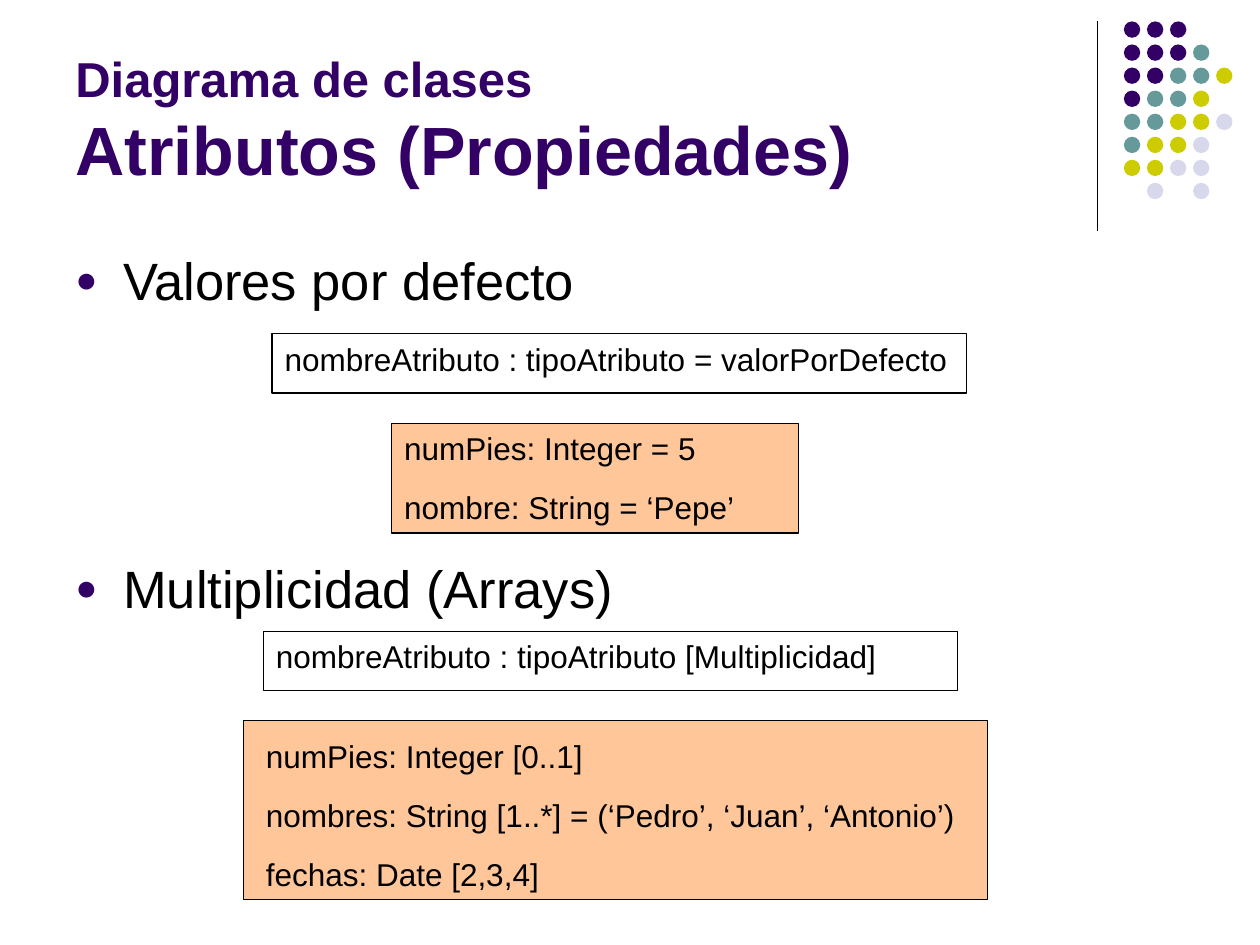
from typing import NamedTuple

from lxml.etree import SubElement
from pptx import Presentation
from pptx.dml.color import RGBColor
from pptx.enum.shapes import MSO_CONNECTOR, MSO_SHAPE
from pptx.enum.text import MSO_ANCHOR, PP_ALIGN
from pptx.oxml.ns import qn
from pptx.util import Inches, Pt

COLORS = {
    "purple": "330066", "teal": "669999", "olive": "CCCC00",
    "lavender": "D8D8EC", "peach": "FFC799", "black": "000000",
}
FONT = "Arial"
WIDTH, HEIGHT = Inches(10), Inches(7.5)

DOT_ROWS = ["PPP", "PPPT", "PPTTO", "PTTO", "TTOOL", "TOOL", "OOLL", " L L"]
DOT_COLORS = {"P": "purple", "T": "teal", "O": "olive", "L": "lavender"}
DOT_LEFT, DOT_TOP = 89.2, 2.27
DOT_COLUMN, DOT_ROW = 1.83, 2.44
DOT_SIZE = 1.3


class Area(NamedTuple):
    """A place on the slide, in percent of its width and height."""
    left: float
    top: float
    width: float
    height: float


class CodeBox(NamedTuple):
    area: Area
    lines: list[str]
    fill: str | None = None
    inset_left: float = 0.1
    inset_top: float = 0.05


CODE_BOXES = [
    CodeBox(Area(21.6, 35.33, 55.1, 6.27),
            ["nombreAtributo : tipoAtributo = valorPorDefecto"]),
    CodeBox(Area(31.1, 44.8, 32.3, 11.6),
            ["numPies: Integer = 5", "nombre: String = ‘Pepe’"], "peach"),
    CodeBox(Area(20.9, 66.8, 55.1, 6.27),
            ["nombreAtributo : tipoAtributo [Multiplicidad]"]),
    CodeBox(Area(19.3, 76.27, 59.1, 18.93),
            ["numPies: Integer [0..1]",
             "nombres: String [1..*] = (‘Pedro’, ‘Juan’, ‘Antonio’)",
             "fechas: Date [2,3,4]"], "peach", 0.18, 0.13),
]


def color(name: str) -> RGBColor:
    return RGBColor.from_string(COLORS[name])


def across(percent: float) -> int:
    return round(WIDTH * percent / 100)


def down(percent: float) -> int:
    return round(HEIGHT * percent / 100)


def place(area: Area) -> tuple[int, int, int, int]:
    return across(area.left), down(area.top), across(area.width), down(area.height)


def style(font, size: float, name: str, bold: bool = False) -> None:
    font.name, font.size, font.bold = FONT, Pt(size), bold
    font.color.rgb = color(name)


def draw_dots(page) -> None:
    size = across(DOT_SIZE)
    for row, letters in enumerate(DOT_ROWS):
        for column, letter in enumerate(letters):
            if letter == " ":
                continue
            dot = page.shapes.add_shape(
                MSO_SHAPE.OVAL, across(DOT_LEFT + column * DOT_COLUMN),
                down(DOT_TOP + row * DOT_ROW), size, size)
            dot.shadow.inherit = False
            dot.fill.solid()
            dot.fill.fore_color.rgb = color(DOT_COLORS[letter])
            dot.line.fill.background()


def draw_rule(page) -> None:
    rule = page.shapes.add_connector(
        MSO_CONNECTOR.STRAIGHT, across(87.1), down(2.27), across(87.1), down(24.4))
    rule.line.color.rgb = color("black")
    rule.line.width = Pt(0.75)
    SubElement(rule.element.spPr, qn("a:effectLst"))


def draw_title(page) -> None:
    box = page.shapes.add_textbox(*place(Area(5, 1.73, 82.5, 18.93)))
    frame = box.text_frame
    frame.word_wrap = True
    frame.vertical_anchor = MSO_ANCHOR.BOTTOM
    frame.text = "Diagrama de clases\vAtributos (Propiedades)"
    for span, size in zip(frame.paragraphs[0].runs, (28, 39)):
        style(span.font, size, "purple", bold=True)


def add_bullet(para) -> None:
    properties = para._p.get_or_add_pPr()
    properties.set("marL", str(Inches(0.38)))
    properties.set("indent", str(-Inches(0.38)))
    bullet_color = SubElement(properties, qn("a:buClr"))
    SubElement(bullet_color, qn("a:srgbClr"), val=COLORS["purple"])
    SubElement(properties, qn("a:buSzPct"), val="70000")
    SubElement(properties, qn("a:buFont"), typeface=FONT)
    SubElement(properties, qn("a:buChar"), char="●")


def draw_topics(page) -> None:
    box = page.shapes.add_textbox(*place(Area(5, 25.07, 90, 64.27)))
    frame = box.text_frame
    frame.word_wrap = True
    frame.margin_top = Inches(0.09)
    frame.text = "Valores por defecto\nMultiplicidad (Arrays)"
    for para in frame.paragraphs:
        add_bullet(para)
        style(para.runs[0].font, 30, "black")
    frame.paragraphs[1].space_before = Pt(140)


def draw_code_box(page, code: CodeBox) -> None:
    box = page.shapes.add_shape(MSO_SHAPE.RECTANGLE, *place(code.area))
    box.shadow.inherit = False
    if code.fill:
        box.fill.solid()
        box.fill.fore_color.rgb = color(code.fill)
    else:
        box.fill.background()
    box.line.color.rgb = color("black")
    box.line.width = Pt(0.75)
    frame = box.text_frame
    frame.word_wrap = True
    frame.vertical_anchor = MSO_ANCHOR.TOP
    frame.margin_left = Inches(code.inset_left)
    frame.margin_top = Inches(code.inset_top)
    frame.margin_right = frame.margin_bottom = Inches(0.05)
    frame.text = "\n".join(code.lines)
    for index, para in enumerate(frame.paragraphs):
        para.alignment = PP_ALIGN.LEFT
        para.space_before = Pt(12 if index else 0)
        style(para.runs[0].font, 18, "black")


def main() -> None:
    deck = Presentation()
    deck.slide_width, deck.slide_height = WIDTH, HEIGHT
    page = deck.slides.add_slide(deck.slide_layouts[6])
    draw_rule(page)
    draw_dots(page)
    draw_title(page)
    draw_topics(page)
    for code in CODE_BOXES:
        draw_code_box(page, code)
    deck.save("out.pptx")


if __name__ == "__main__":
    main()
